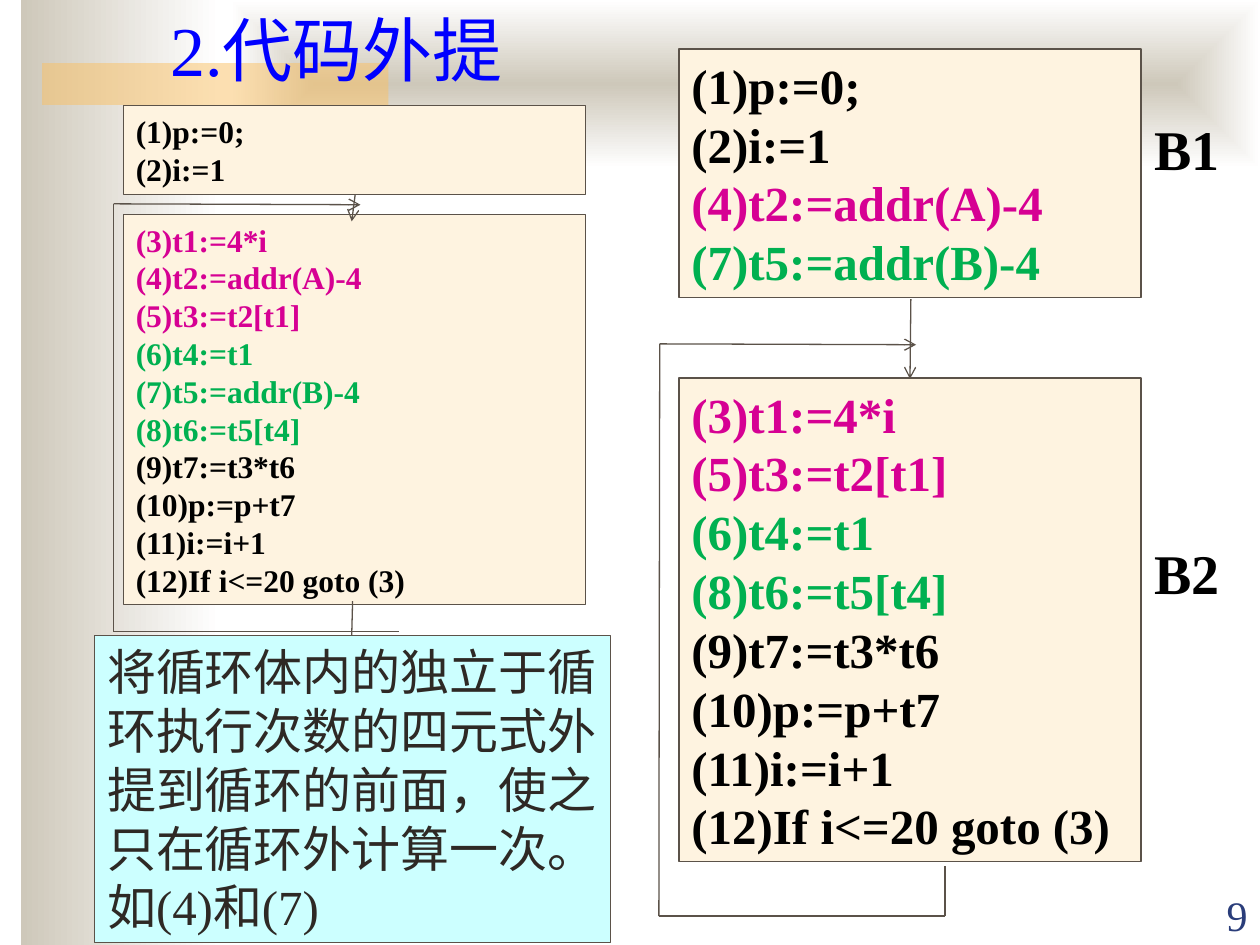
import lxml.etree
import pptx
import pptx.dml.color
import pptx.enum.shapes
import pptx.enum.text
import pptx.oxml
import pptx.oxml.ns
import pptx.util

Pt = pptx.util.Pt
ANCHOR = pptx.enum.text.MSO_ANCHOR
ALIGN = pptx.enum.text.PP_ALIGN
RECTANGLE = pptx.enum.shapes.MSO_SHAPE.RECTANGLE

THEME = {
    "font": "Times New Roman",
    "colors": {
        "title": "0000FF", "code": "000000", "array_a": "D60093", "array_b": "00B050",
        "note": "2E2925", "note_fill": "CCFFFF", "block_fill": "FEF3E0",
        "line": "5B5249", "number": "2A3D7A", "band": "CEC8BA", "paper": "FFFFFF",
        "accent": "FAC164",
    },
    "sizes": {"title": 40, "label": 32, "large": 28, "number": 24, "small": 18},
}

TITLE = "2.代码外提"
NOTE = "将循环体内的独立于循环执行次数的四元式外提到循环的前面，使之只在循环外计算一次。如(4)和(7)"
PAGE_NUMBER = "9"

# Each block: box (left, top, width, height), type size, (color, line) pairs
BLOCKS = [
    ((388, 28, 264, 142), "large", [
        ("code", "(1)p:=0;"), ("code", "(2)i:=1"),
        ("array_a", "(4)t2:=addr(A)-4"), ("array_b", "(7)t5:=addr(B)-4")]),
    ((388, 216, 264, 276.5), "large", [
        ("array_a", "(3)t1:=4*i"), ("array_a", "(5)t3:=t2[t1]"),
        ("array_b", "(6)t4:=t1"), ("array_b", "(8)t6:=t5[t4]"),
        ("code", "(9)t7:=t3*t6"), ("code", "(10)p:=p+t7"),
        ("code", "(11)i:=i+1"), ("code", "(12)If i<=20 goto (3)")]),
    ((70.5, 60.5, 264, 50.5), "small", [("code", "(1)p:=0;"), ("code", "(2)i:=1")]),
    ((70.5, 122.5, 264, 223), "small", [
        ("array_a", "(3)t1:=4*i"), ("array_a", "(4)t2:=addr(A)-4"),
        ("array_a", "(5)t3:=t2[t1]"), ("array_b", "(6)t4:=t1"),
        ("array_b", "(7)t5:=addr(B)-4"), ("array_b", "(8)t6:=t5[t4]"),
        ("code", "(9)t7:=t3*t6"), ("code", "(10)p:=p+t7"),
        ("code", "(11)i:=i+1"), ("code", "(12)If i<=20 goto (3)")]),
]
LABELS = [("B1", (652.5, 62, 78, 46)), ("B2", (652.5, 304, 78, 46))]

# Each flow: points joined in order, whether the last segment has an arrowhead
FLOWS = [
    ([(520.5, 171), (520, 216.5)], True),
    ([(540, 495), (540, 523.5), (376.5, 523.5), (377, 196.5), (523.5, 197)], True),
    ([(203, 111), (201, 126.5)], True),
    ([(228, 361), (65, 361), (65, 116.5), (206, 117)], True),
    ([(201, 363), (201.5, 343.5)], False),
]

LINEAR = '<a:lin ang="10800000" scaled="0"/>'
CENTERED = '<a:path path="rect"><a:fillToRect l="50000" t="50000" r="50000" b="50000"/></a:path>'
STOP = '<a:gs pos="{}"><a:srgbClr val="{}"/></a:gs>'
BACKDROPS = [
    ((12, 0, 114, 540), ("paper", "band"), LINEAR),
    ((132, 0, 588, 96), ("band", "paper"), CENTERED),
]


def rgb(name):
    return pptx.dml.color.RGBColor.from_string(THEME["colors"][name])


def assign(target, values):
    for name, value in values.items():
        setattr(target, name, value)


def place(shape, box):
    assign(shape, dict(zip(("left", "top", "width", "height"), map(Pt, box))))


def write(shape, lines, size, bold=False, align=ALIGN.LEFT, anchor=ANCHOR.TOP, wrap=True):
    """Fill the shape with (color, text) lines, one paragraph each."""
    frame = shape.text_frame
    assign(frame, {"word_wrap": wrap, "vertical_anchor": anchor,
                   "auto_size": pptx.enum.text.MSO_AUTO_SIZE.NONE})
    for index, (color, text) in enumerate(lines):
        paragraph = frame.add_paragraph() if index else frame.paragraphs[0]
        assign(paragraph, {"alignment": align, "space_before": Pt(0)})
        run = paragraph.add_run()
        run.text = text
        assign(run.font, {"name": THEME["font"], "size": Pt(THEME["sizes"][size]), "bold": bold})
        run.font.color.rgb = rgb(color)


def paint(shape, fill, line_width):
    shape.fill.solid()
    shape.fill.fore_color.rgb = rgb(fill)
    shape.line.color.rgb = rgb("line")
    shape.line.width = Pt(line_width)


def add_rectangle(slide, box):
    shape = slide.shapes.add_shape(RECTANGLE, *map(Pt, box))
    shape.shadow.inherit = False
    return shape


def add_backdrop(slide):
    namespace = pptx.oxml.ns.nsdecls("a")
    shapes = []
    for box, colors, direction in BACKDROPS:
        shape = add_rectangle(slide, box)
        shape.line.fill.background()
        stops = "".join(STOP.format(position, THEME["colors"][color])
                        for position, color in zip((0, 100000), colors))
        gradient = f"<a:gradFill {namespace}><a:gsLst>{stops}</a:gsLst>{direction}</a:gradFill>"
        geometry = shape.element.spPr.find(pptx.oxml.ns.qn("a:prstGeom"))
        geometry.addnext(pptx.oxml.parse_xml(gradient))
        shapes.append(shape)
    accent = add_rectangle(slide, (24, 36, 198, 24))
    paint(accent, "accent", 0)
    accent.line.fill.background()
    color = accent.element.spPr.find(".//" + pptx.oxml.ns.qn("a:srgbClr"))
    lxml.etree.SubElement(color, pptx.oxml.ns.qn("a:alpha"), val="50000")
    # The backdrop goes behind the placeholders
    for index, shape in enumerate(shapes + [accent]):
        slide.shapes.element.insert(2 + index, shape.element)


def add_flow(slide, points, arrow):
    for start, end in zip(points, points[1:]):
        connector = slide.shapes.add_connector(
            pptx.enum.shapes.MSO_CONNECTOR.STRAIGHT, *map(Pt, start + end))
        connector.line.color.rgb = rgb("line")
        connector.line.width = Pt(0.75)
        properties = connector.element.spPr
        lxml.etree.SubElement(properties, pptx.oxml.ns.qn("a:effectLst"))
        if arrow and end == points[-1]:
            line = properties.find(pptx.oxml.ns.qn("a:ln"))
            lxml.etree.SubElement(line, pptx.oxml.ns.qn("a:tailEnd"), type="arrow")


def fill_placeholders(slide):
    title, note = slide.shapes.title, slide.placeholders[1]
    place(title, (90, 0, 214, 55.5))
    write(title, [("title", TITLE)], "title", wrap=False)
    place(note, (54, 363, 294.5, 175.5))
    paint(note, "note_fill", 0.25)
    write(note, [("note", NOTE)], "large")
    properties = note.text_frame.paragraphs[0]._p.get_or_add_pPr()
    properties.set("marL", "0")
    properties.set("indent", "0")
    lxml.etree.SubElement(properties, pptx.oxml.ns.qn("a:buNone"))


def main():
    presentation = pptx.Presentation()
    assign(presentation, {"slide_width": Pt(720), "slide_height": Pt(540)})
    slide = presentation.slides.add_slide(presentation.slide_layouts[1])
    add_backdrop(slide)
    fill_placeholders(slide)
    for box, size, lines in BLOCKS:
        block = add_rectangle(slide, box)
        paint(block, "block_fill", 0.75)
        write(block, lines, size, bold=True)
    for text, box in LABELS:
        write(slide.shapes.add_textbox(*map(Pt, box)), [("code", text)], "label", bold=True)
    number = slide.shapes.add_textbox(*map(Pt, (648, 504.5, 72, 36)))
    write(number, [("number", PAGE_NUMBER)], "number", align=ALIGN.RIGHT, anchor=ANCHOR.BOTTOM)
    for points, arrow in FLOWS:
        add_flow(slide, points, arrow)
    presentation.save("out.pptx")


if __name__ == "__main__":
    main()
